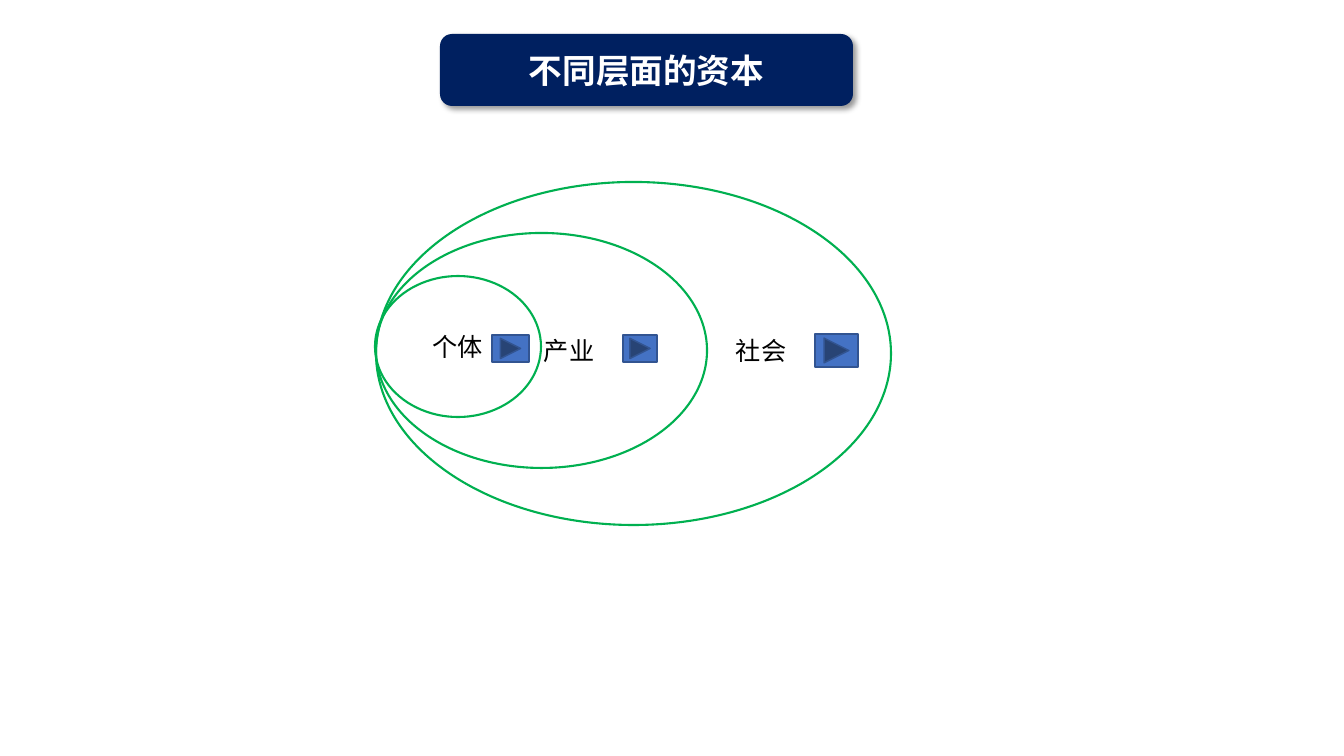
"""Build the slide on capital at three nested levels."""
from lxml import etree
from pptx import Presentation
from pptx.dml.color import RGBColor
from pptx.enum.shapes import MSO_SHAPE
from pptx.enum.text import MSO_ANCHOR, PP_ALIGN
from pptx.oxml.ns import qn
from pptx.util import Emu, Pt

PX = 914400 / 100.8
FONT = "Noto Sans CJK SC"
GREEN = RGBColor(0x00, 0xB0, 0x50)
NAVY = RGBColor(0x00, 0x20, 0x60)
BLUE = RGBColor(0x44, 0x72, 0xC4)
EDGE = RGBColor(0x32, 0x54, 0x91)
BLACK = RGBColor(0x00, 0x00, 0x00)
WHITE = RGBColor(0xFF, 0xFF, 0xFF)
OVAL = MSO_SHAPE.OVAL
ROUNDED = MSO_SHAPE.ROUNDED_RECTANGLE
FORWARD = MSO_SHAPE.ACTION_BUTTON_FORWARD_OR_NEXT
MIDDLE = MSO_ANCHOR.MIDDLE
CENTER, LEFT = PP_ALIGN.CENTER, PP_ALIGN.LEFT

LABEL = {"size": Pt(18), "bold": False, "name": FONT}
HEADING = {"size": Pt(24), "bold": True, "name": FONT}
LEVELS = [
    ((375, 276, 166, 141), "个体", 10),
    ((376, 233, 331, 235), "产业", 65),
    ((376, 182, 515, 343), "", 10),
]
BUTTONS = [(492, 335, 37, 27), (623, 335, 34, 27), (815, 334, 43, 33)]


def px(length):
    """Turn pixels into EMU."""
    return Emu(round(length * PX))


def add_shape(page, kind, area, fill=None, line=None, width=1.0):
    """Add a preset shape with the given fill and outline."""
    shape = page.shapes.add_shape(kind, *map(px, area))
    shape.shadow.inherit = False
    for part, color in ((shape.fill, fill), (shape.line.fill, line)):
        if color is None:
            part.background()
        else:
            part.solid()
            part.fore_color.rgb = color
    if line is not None:
        shape.line.width = Pt(width)
    return shape


def write(box, text, style, color, align=CENTER):
    """Write one styled paragraph into a box."""
    para = box.text_frame.paragraphs[0]
    para.alignment = align
    span = para.add_run()
    span.text = text
    for name, value in style.items():
        setattr(span.font, name, value)
    span.font.color.rgb = color
    etree.SubElement(span.font._element, qn("a:ea"), typeface=FONT)


def add_level(page, area, text, inset):
    """Add a green ellipse, labelled if it has text."""
    ellipse = add_shape(page, OVAL, area, line=GREEN, width=1.5)
    if text:
        ellipse.text_frame.vertical_anchor = MIDDLE
        ellipse.text_frame.margin_left = px(inset)
        write(ellipse, text, LABEL, BLACK)


def add_label(page, area, text):
    """Add a plain text label."""
    box = page.shapes.add_textbox(*map(px, area))
    box.text_frame.word_wrap = True
    write(box, text, LABEL, BLACK, LEFT)


def add_shadow(shape):
    """Give a shape a soft shadow to the lower right."""
    effects = shape._element.spPr.find(qn("a:effectLst"))
    shadow = etree.SubElement(
        effects, qn("a:outerShdw"), blurRad=str(Pt(4)), dist=str(Pt(3)),
        dir="2700000", algn="tl", rotWithShape="0")
    color = etree.SubElement(shadow, qn("a:srgbClr"), val=str(BLACK))
    etree.SubElement(color, qn("a:alpha"), val="40000")


def add_title(page, area, text):
    """Add the navy title banner."""
    banner = add_shape(page, ROUNDED, area, fill=NAVY)
    banner.text_frame.vertical_anchor = MIDDLE
    add_shadow(banner)
    write(banner, text, HEADING, WHITE)


def main():
    """Build and save the deck."""
    deck = Presentation()
    deck.slide_width, deck.slide_height = px(1344), px(756)
    page = deck.slides.add_slide(deck.slide_layouts[6])
    for level in LEVELS:
        add_level(page, *level)
    add_label(page, (726, 330, 100, 40), "社会")
    add_title(page, (440, 34, 413, 72), "不同层面的资本")
    for area in BUTTONS:
        add_shape(page, FORWARD, area, fill=BLUE, line=EDGE)
    deck.save("out.pptx")


if __name__ == "__main__":
    main()
